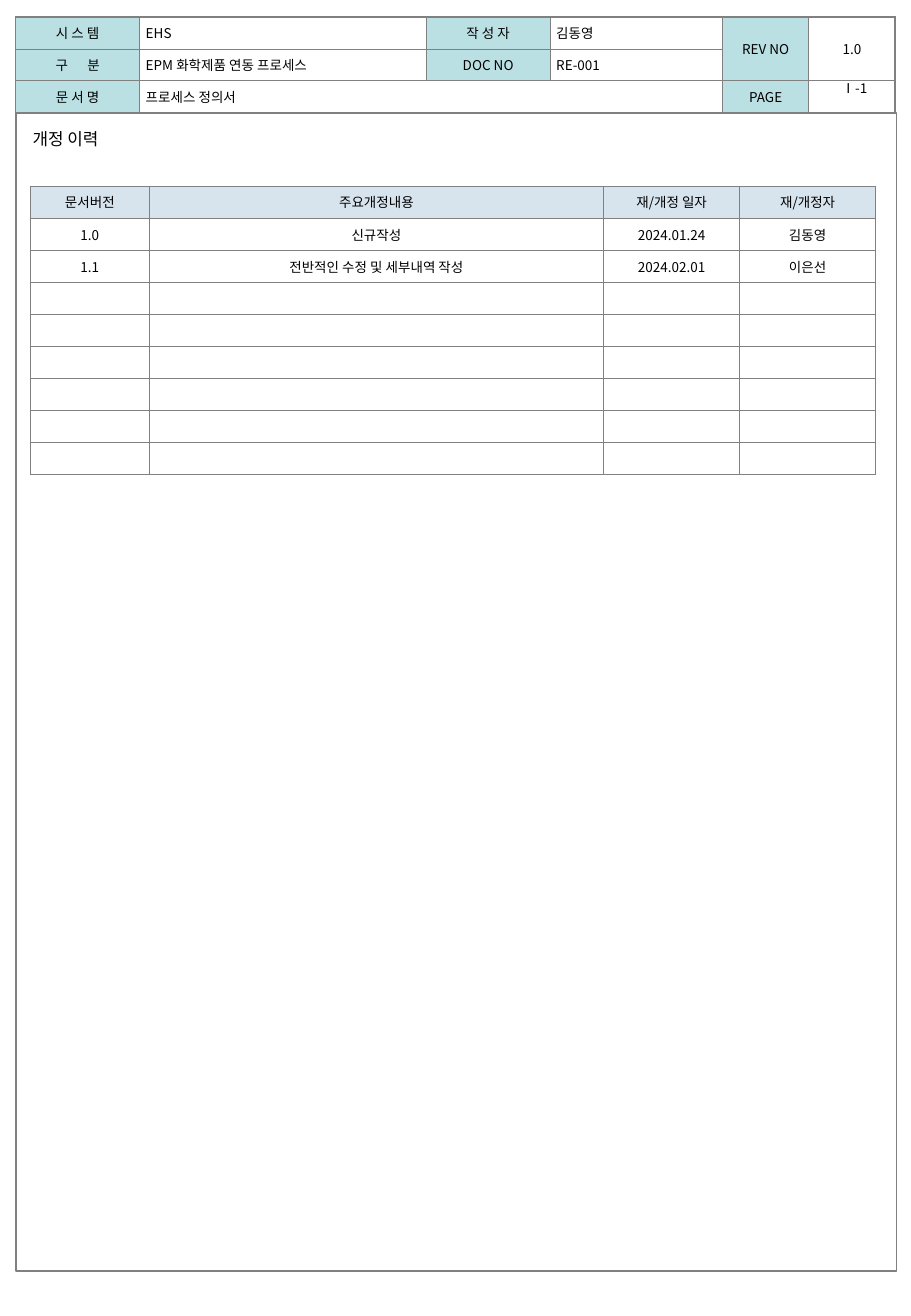
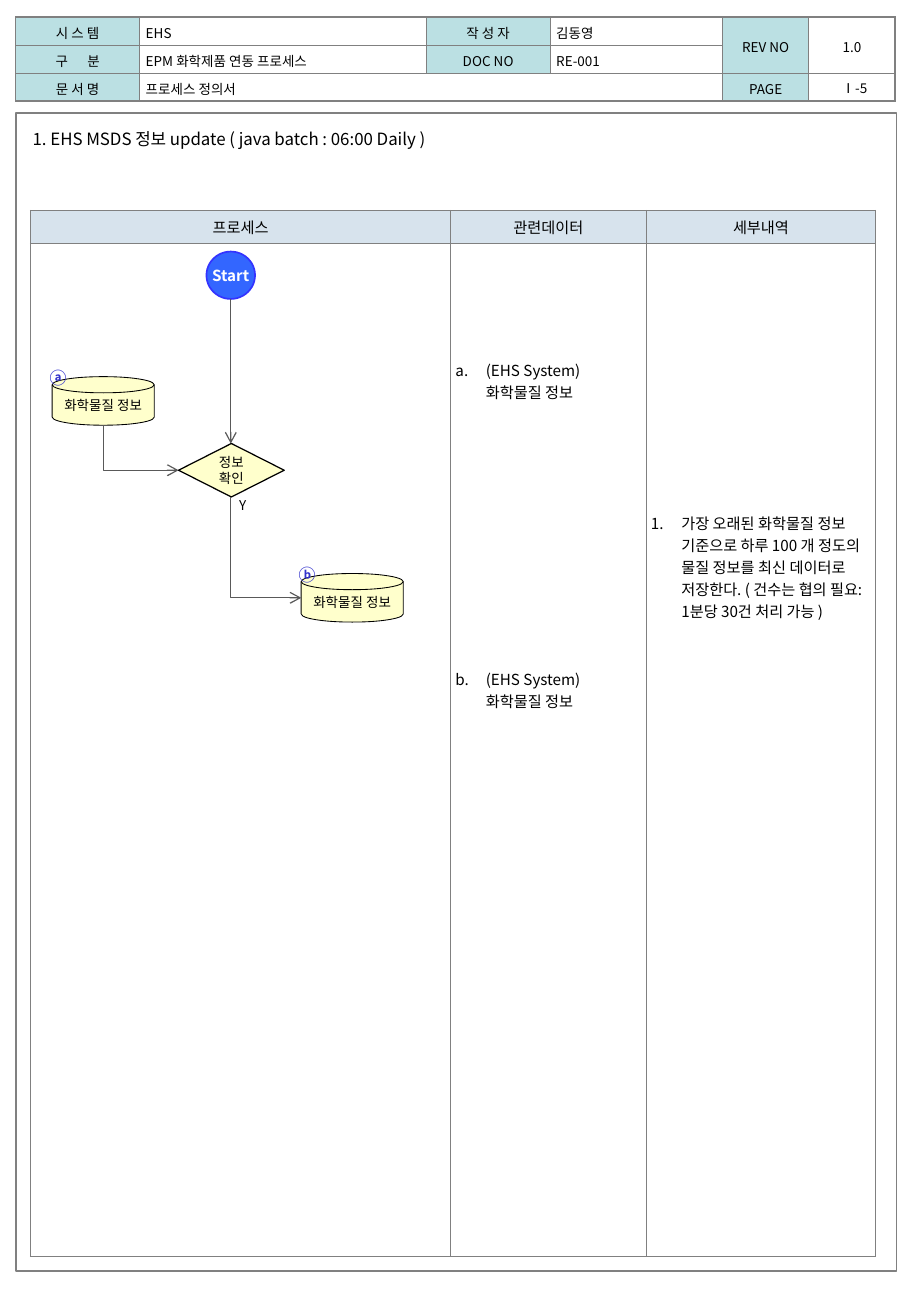
import pptx
import pptx.util
import pptx.oxml.ns
from lxml import etree
from pptx.dml.color import RGBColor
from pptx.enum.shapes import MSO_CONNECTOR, MSO_SHAPE
from pptx.enum.text import MSO_ANCHOR, PP_ALIGN
from pptx.util import Inches, Pt

qn = pptx.oxml.ns.qn

FONT = "Noto Sans CJK KR"
BLACK = RGBColor(0, 0, 0)
WHITE = RGBColor(0xFF, 0xFF, 0xFF)
GREY = RGBColor(0x80, 0x80, 0x80)
ARROW = RGBColor(0x59, 0x59, 0x59)
TEAL = RGBColor(0xBB, 0xE0, 0xE3)
PALE_BLUE = RGBColor(0xD7, 0xE3, 0xED)
YELLOW = RGBColor(0xFF, 0xFF, 0xCC)
START_FILL = RGBColor(0x33, 0x66, 0xFF)
START_LINE = RGBColor(0x33, 0x33, 0xFF)
MARK = RGBColor(0x33, 0x33, 0xCC)

CENTER, LEFT = PP_ALIGN.CENTER, PP_ALIGN.LEFT


# Text
def style(paragraph, size, color=BLACK, bold=False, align=LEFT):
    paragraph.alignment = align
    font = paragraph.font
    font.size, font.name, font.bold = Pt(size), FONT, bold
    font.color.rgb = color
    defaults = paragraph._p.pPr.find(qn("a:defRPr"))
    etree.SubElement(defaults, qn("a:ea")).set("typeface", FONT)


def write(frame, text, size, **look):
    frame.text = text
    for paragraph in frame.paragraphs:
        style(paragraph, size, **look)


def number(paragraph, scheme):
    properties = paragraph._p.pPr
    properties.set("marL", str(Inches(0.25)))
    properties.set("indent", str(-Inches(0.25)))
    bullet = etree.Element(qn("a:buAutoNum"), type=scheme)
    properties.find(qn("a:defRPr")).addprevious(bullet)


def add_label(slide, box, text, size, wrap=False, **look):
    label = slide.shapes.add_textbox(*map(Inches, box))
    label.text_frame.word_wrap = wrap
    write(label.text_frame, text, size, **look)


# Tables
def set_borders(cell, left=0.5, right=0.5, top=0.5, bottom=0.5):
    properties = cell._tc.get_or_add_tcPr()
    for side, width in zip("LRTB", (left, right, top, bottom)):
        line = etree.SubElement(properties, qn("a:ln" + side), w=str(Pt(width)))
        fill = etree.SubElement(line, qn("a:solidFill"))
        etree.SubElement(fill, qn("a:srgbClr"), val=str(GREY))


def set_cell(cell, text, size, fill=None, align=CENTER, margins=(0.05,) * 4):
    cell.vertical_anchor = MSO_ANCHOR.MIDDLE
    (cell.margin_left, cell.margin_top,
     cell.margin_right, cell.margin_bottom) = map(Inches, margins)
    if fill is None:
        cell.fill.background()
    else:
        cell.fill.solid()
        cell.fill.fore_color.rgb = fill
    write(cell.text_frame, text, size, align=align)


def add_grid(slide, left, top, widths, heights):
    table = slide.shapes.add_table(
        len(heights), len(widths), Inches(left), Inches(top),
        Inches(sum(widths)), Inches(sum(heights))).table
    table.first_row = table.horz_banding = False
    for column, width in zip(table.columns, widths):
        column.width = Inches(width)
    for row, height in zip(table.rows, heights):
        row.height = Inches(height)
    return table


# Document header, page frame and title, shared by all slides
HEADER_ROWS = [
    ["시 스 템", "EHS", "작 성 자", "김동영", "REV NO", "1.0"],
    ["구 분", "EPM 화학제품 연동 프로세스", "DOC NO", "RE-001", "", ""],
    ["문 서 명", "프로세스 정의서", "", "", "PAGE", ""],
]


def add_header(slide, left, top, row_height, bottom_margin):
    table = add_grid(slide, left, top, [1.02, 2.36, 1.02, 1.42, 0.71, 0.71],
                     [row_height] * 3)
    for r, row in enumerate(HEADER_ROWS):
        for c, text in enumerate(row):
            cell = table.cell(r, c)
            set_borders(cell, left=1 if c == 0 else 0.5, right=1 if c == 5 else 0.5,
                        top=1 if r == 0 else 0.5, bottom=1 if r == 2 else 0.5)
            set_cell(cell, text, 8, TEAL if c % 2 == 0 else None,
                     LEFT if c in (1, 3) else CENTER,
                     (0.05, 0.05, 0.05, bottom_margin))
    for c in (4, 5):
        table.cell(0, c).merge(table.cell(1, c))
    table.cell(2, 1).merge(table.cell(2, 3))
    # Widen the gap between the two syllables
    division = table.cell(1, 0).text_frame.paragraphs[0]
    division.runs[0].text = "구"
    for text in (" ", "분"):
        division.add_run().text = text
    division.runs[1].font._element.set("spc", "950")


def add_page(deck, title, page, row_height, bottom_margin):
    slide = deck.slides.add_slide(deck.slide_layouts[6])
    add_header(slide, 0.13, 0.14, row_height, bottom_margin)
    frame = slide.shapes.add_shape(
        MSO_SHAPE.RECTANGLE, *map(Inches, (0.13, 0.93, 7.25, 9.53)))
    frame.shadow.inherit = False
    frame.fill.background()
    frame.line.color.rgb, frame.line.width = GREY, Pt(1)
    add_label(slide, (6.79, 0.61, 0.49, 0.23), page, 8, align=CENTER)
    add_label(slide, (0.17, 1.01, 7.05, 0.28), title, 10, wrap=True)
    return slide


# Revision history
REVISIONS = [
    ["문서버전", "주요개정내용", "재/개정 일자", "재/개정자"],
    ["1.0", "신규작성", "2024.01.24", "김동영"],
    ["1.1", "전반적인 수정 및 세부내역 작성", "2024.02.01", "이은선"],
]


def add_revisions(slide, left, top, height, row_count=9):
    table = add_grid(slide, left, top, [0.98, 3.74, 1.12, 1.12],
                     [height / row_count] * row_count)
    rows = REVISIONS + [[""] * 4] * (row_count - len(REVISIONS))
    for r, row in enumerate(rows):
        for c, text in enumerate(row):
            set_borders(table.cell(r, c))
            set_cell(table.cell(r, c), text, 8, PALE_BLUE if r == 0 else None,
                     margins=(0.1, 0.05, 0.1, 0.05))


# Process table
DATA_NOTE = "(EHS System)\v화학물질 정보"
DETAIL_NOTE = ("가장 오래된 화학물질 정보 기준으로 하루 100 개 정도의 물질 정보를 최신 "
               "데이터로 저장한다. ( 건수는 협의 필요: 1분당 30건 처리 가능 )")


def add_process_table(slide, left, top):
    table = add_grid(slide, left, top, [3.46, 1.61, 1.89], [0.27, 8.34])
    columns = [
        ("프로세스", "", 0.04, None),
        ("관련데이터", DATA_NOTE + "\n" + DATA_NOTE, 0.95, "alphaLcPeriod"),
        ("세부내역", DETAIL_NOTE, 2.21, "arabicPeriod"),
    ]
    for c, (heading, notes, top_margin, scheme) in enumerate(columns):
        head, body = table.cell(0, c), table.cell(1, c)
        set_borders(head)
        set_borders(body)
        set_cell(head, heading, 9, PALE_BLUE, margins=(0.04,) * 4)
        set_cell(body, notes, 9, align=LEFT, margins=(0.04, top_margin, 0.04, 0.04))
        body.vertical_anchor = MSO_ANCHOR.TOP
        if scheme:
            for paragraph in body.text_frame.paragraphs:
                number(paragraph, scheme)
    table.cell(1, 1).text_frame.paragraphs[1].space_before = Pt(157)


# Flowchart
def add_node(slide, kind, box, text, fill=YELLOW, line=BLACK, width=0.5,
             size=8, inset=None, **look):
    node = slide.shapes.add_shape(kind, *map(Inches, box))
    node.shadow.inherit = False
    node.fill.solid()
    node.fill.fore_color.rgb = fill
    node.line.color.rgb, node.line.width = line, Pt(width)
    frame = node.text_frame
    frame.word_wrap, frame.vertical_anchor = False, MSO_ANCHOR.MIDDLE
    if inset is not None:
        frame.margin_left = frame.margin_right = Inches(inset)
        frame.margin_top = frame.margin_bottom = Inches(inset)
    write(frame, text, size, align=CENTER, **look)


def add_arrow(slide, start, end):
    """Straight arrow, or one that runs down and then right."""
    (x1, y1), (x2, y2) = start, end
    bent = x1 != x2
    if bent:
        # Frame of the elbow before its quarter turn
        mid_x, mid_y = (x1 + x2) / 2, (y1 + y2) / 2
        half_w, half_h = (y2 - y1) / 2, (x2 - x1) / 2
        x1, x2 = mid_x + half_w, mid_x - half_w
        y1, y2 = mid_y - half_h, mid_y + half_h
    arrow = slide.shapes.add_connector(
        MSO_CONNECTOR.ELBOW if bent else MSO_CONNECTOR.STRAIGHT,
        *map(Inches, (x1, y1, x2, y2)))
    arrow.line.color.rgb, arrow.line.width = ARROW, Pt(0.75)
    properties = arrow._element.spPr
    if bent:
        properties.find(qn("a:xfrm")).set("rot", "16200000")
        properties.find(qn("a:prstGeom")).set("prst", "bentConnector2")
    etree.SubElement(properties.find(qn("a:ln")), qn("a:tailEnd"), type="arrow")
    etree.SubElement(properties, qn("a:effectLst"))


def add_data_store(slide, left, top, mark):
    add_node(slide, MSO_SHAPE.FLOWCHART_MAGNETIC_DISK, (left, top, 0.84, 0.4),
             "화학물질 정보")
    add_label(slide, (left - 0.12, top - 0.12, 0.34, 0.27), mark, 10,
              color=MARK, bold=True)


def add_flow(slide, left, top):
    axis = left + 1.65
    check_top, check_height = top + 1.92, 0.44
    check_middle, check_bottom = check_top + check_height / 2, check_top + check_height
    source_left, source_top = left + 0.18, top + 1.37
    target_left, target_top = left + 2.23, top + 2.99

    add_node(slide, MSO_SHAPE.OVAL, (axis - 0.2, top + 0.34, 0.4, 0.39), "Start",
             START_FILL, START_LINE, 1, 9, inset=0, color=WHITE, bold=True)
    add_arrow(slide, (axis, top + 0.73), (axis, check_top))
    add_data_store(slide, source_left, source_top, "ⓐ")
    add_data_store(slide, target_left, target_top, "ⓑ")
    add_arrow(slide, (source_left + 0.42, source_top + 0.4),
              (axis - 0.43, check_middle))
    add_node(slide, MSO_SHAPE.DIAMOND, (axis - 0.43, check_top, 0.87, check_height),
             "정보\n확인", width=0.75)
    add_label(slide, (axis - 0.03, check_bottom - 0.05, 0.27, 0.24), "Y", 8)
    add_arrow(slide, (axis, check_bottom), (target_left, target_top + 0.2))


def main():
    deck = pptx.Presentation()
    deck.slide_width, deck.slide_height = Inches(7.5), Inches(10.83)

    history = add_page(deck, "개정 이력", "Ⅰ-1", 0.26, 0.05)
    add_revisions(history, 0.25, 1.53, 2.38)

    process = add_page(deck, "1. EHS MSDS 정보 update ( java batch : 06:00 Daily )",
                       "Ⅰ-5", 0.23, 0.02)
    add_process_table(process, 0.25, 1.73)
    add_flow(process, 0.25, 1.73)

    deck.save("out.pptx")


if __name__ == "__main__":
    main()
